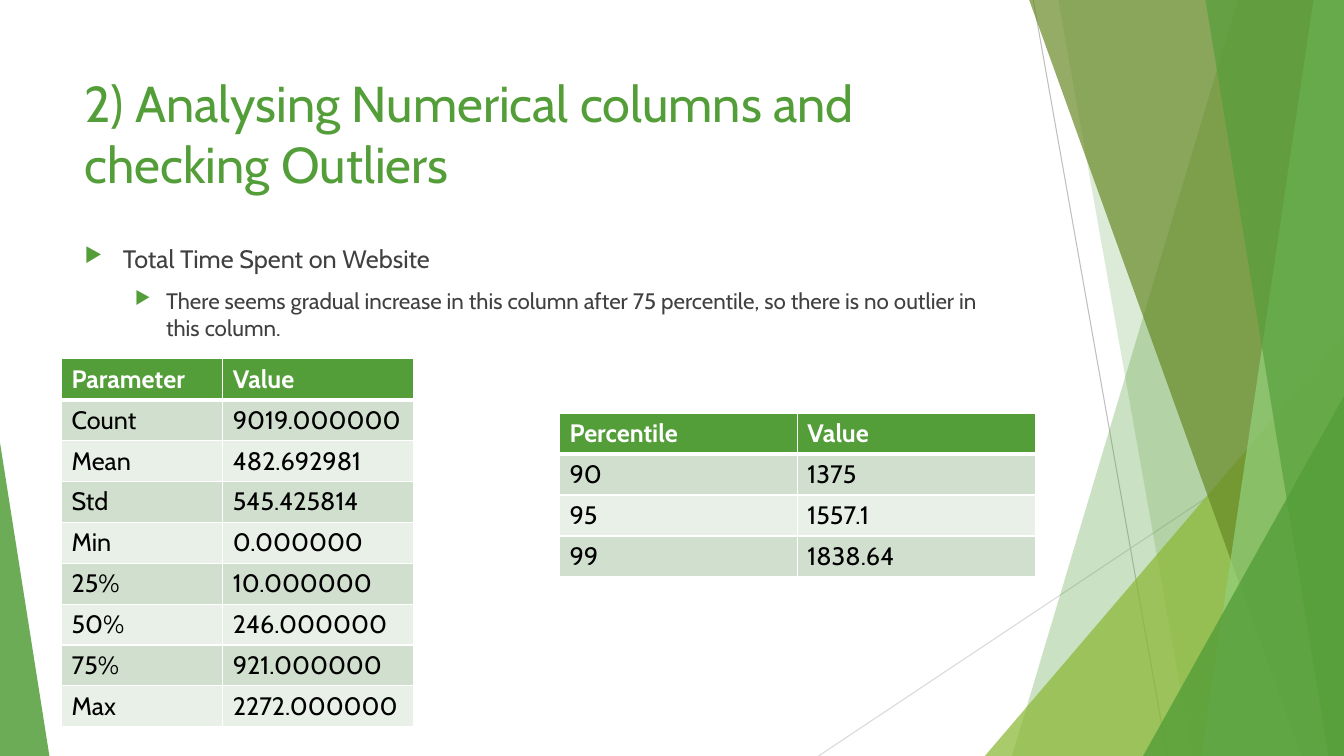
from lxml import etree
from pptx import Presentation
from pptx import util as u
from pptx.dml.color import RGBColor
from pptx.enum import shapes, text
from pptx.oxml.ns import qn

W, H = u.Inches(13.333), u.Inches(7.5)
FONT = "Cabin"
COLORS = {
    "green": "549E39", "lime": "8AB833", "olive": "678A26", "mint": "93D07D",
    "text": "404040", "black": "000000", "white": "FFFFFF",
    "band": "D1DFCE", "band_light": "E9F0E8",
    "line": "BFBFBF", "line_light": "D9D9D9",
}
ROW = 5.41
SUMMARY = [
    ("Parameter", "Value"), ("Count", "9019.000000"), ("Mean", "482.692981"),
    ("Std", "545.425814"), ("Min", "0.000000"), ("25%", "10.000000"),
    ("50%", "246.000000"), ("75%", "921.000000"), ("Max", "2272.000000"),
]
PERCENTILES = [("Percentile", "Value"), ("90", "1375"), ("95", "1557.1"),
               ("99", "1838.64")]


def rgb(name):
    return RGBColor.from_string(COLORS[name])


def px(share):
    """Percent of the slide width as a length."""
    return u.Emu(int(W * share / 100))


def py(share):
    """Percent of the slide height as a length."""
    return u.Emu(int(H * share / 100))


def place(box):
    x, y, w, h = box
    return px(x), py(y), px(w), py(h)


def style_font(font, size, color, bold=False):
    font.name, font.size, font.bold = FONT, u.Pt(size), bold
    font.color.rgb = rgb(color)


def paint(sp, color, opacity):
    sp.shadow.inherit = False
    sp.line.fill.background()
    sp.fill.solid()
    sp.fill.fore_color.rgb = rgb(color)
    clr = sp.fill._xPr.find(qn("a:solidFill"))[0]
    etree.SubElement(clr, qn("a:alpha"), val=str(opacity * 1000))


def add_line(s, x1, y1, x2, y2, color):
    c = s.shapes.add_connector(shapes.MSO_CONNECTOR.STRAIGHT,
                               px(x1), py(y1), px(x2), py(y2))
    c.line.color.rgb = rgb(color)
    c.line.width = u.Pt(0.75)
    etree.SubElement(c._element.spPr, qn("a:effectLst"))


def add_facet(s, top_x, bottom_x, color, opacity):
    """Full-height pane with a slanted left side, up to the right slide edge."""
    fb = s.shapes.build_freeform(px(top_x), 0)
    fb.add_line_segments([(W, 0), (W, H), (px(bottom_x), H)], close=True)
    paint(fb.convert_to_shape(), color, opacity)


def add_corner(s, box, apex, color, opacity):
    sp = s.shapes.add_shape(shapes.MSO_SHAPE.ISOSCELES_TRIANGLE, *place(box))
    sp.adjustments[0] = apex
    paint(sp, color, opacity)


def add_decoration(s):
    add_line(s, 76.88, 0, 86.85, 100, "line")
    add_line(s, 100, 53.73, 60.9, 100, "line_light")
    add_facet(s, 92.1, 75.3, "green", 30)
    add_facet(s, 78.75, 88.73, "green", 20)
    add_corner(s, (73.28, 44.4, 26.72, 55.6), 1, "lime", 72)
    add_facet(s, 76.58, 96.83, "olive", 70)
    add_facet(s, 97.73, 89.4, "mint", 70)
    add_facet(s, 89.7, 98.85, "green", 65)
    add_corner(s, (85.05, 52.4, 14.95, 47.6), 1, "green", 80)
    add_corner(s, (0, 58.53, 3.68, 41.47), 0, "green", 85)


def add_text_frame(s, box):
    tf = s.shapes.add_textbox(*place(box)).text_frame
    tf.word_wrap = True
    tf.vertical_anchor = text.MSO_ANCHOR.TOP
    return tf


def add_title(s, box, title):
    tf = add_text_frame(s, box)
    tf.text = title
    style_font(tf.paragraphs[0].runs[0].font, 36, "green")


def add_bullets(s, box, items):
    """Items are (text, level, left margin, hanging indent, size)."""
    tf = add_text_frame(s, box)
    for i, (line, level, margin, hang, size) in enumerate(items):
        p = tf.add_paragraph() if i else tf.paragraphs[0]
        p.text, p.level = line, level
        if i:
            p.space_before = u.Pt(10)
        pPr = p._p.get_or_add_pPr()
        pPr.set("marL", str(u.Inches(margin)))
        pPr.set("indent", str(-u.Inches(hang)))
        clr = etree.SubElement(pPr, qn("a:buClr"))
        etree.SubElement(clr, qn("a:srgbClr"), val=COLORS["green"])
        etree.SubElement(pPr, qn("a:buSzPct"), val="80000")
        etree.SubElement(pPr, qn("a:buChar"), char="▶")
        style_font(p.runs[0].font, size, "text")


def set_borders(cell, header, below_header):
    tcPr = cell._tc.get_or_add_tcPr()
    for side in "LRTB":
        thick = header and side == "B" or below_header and side == "T"
        ln = etree.SubElement(tcPr, qn(f"a:ln{side}"),
                              w=str(u.Pt(3 if thick else 1)))
        fill = etree.SubElement(ln, qn("a:solidFill"))
        etree.SubElement(fill, qn("a:srgbClr"), val=COLORS["white"])


def add_data_table(s, x, y, widths, rows):
    box = (x, y, sum(widths), ROW * len(rows))
    tbl = s.shapes.add_table(len(rows), len(widths), *place(box)).table
    for col, width in zip(tbl.columns, widths):
        col.width = px(width)
    for r, values in enumerate(rows):
        tbl.rows[r].height = py(ROW)
        header = r == 0
        fill = "green" if header else "band" if r % 2 else "band_light"
        for c, value in enumerate(values):
            cell = tbl.cell(r, c)
            set_borders(cell, header, r == 1)
            cell.fill.solid()
            cell.fill.fore_color.rgb = rgb(fill)
            cell.text = value
            style_font(cell.text_frame.paragraphs[0].runs[0].font, 18,
                       "white" if header else "black", header)


def main():
    prs = Presentation()
    prs.slide_width, prs.slide_height = W, H
    s = prs.slides.add_slide(prs.slide_layouts[6])
    add_decoration(s)
    add_title(s, (5.55, 8.93, 70.5, 19.2),
              "2) Analysing Numerical columns and checking Outliers")
    add_bullets(s, (5.55, 31.47, 70.5, 56.53), [
        ("Total Time Spent on Website", 0, 0.38, 0.38, 18),
        ("There seems gradual increase in this column after 75 percentile, "
         "so there is no outlier in this column.", 1, 0.81, 0.31, 16),
    ])
    add_data_table(s, 4.58, 47.47, (12, 14.2), SUMMARY)
    add_data_table(s, 41.63, 54.67, (17.7, 17.7), PERCENTILES)
    prs.save("out.pptx")


if __name__ == "__main__":
    main()
